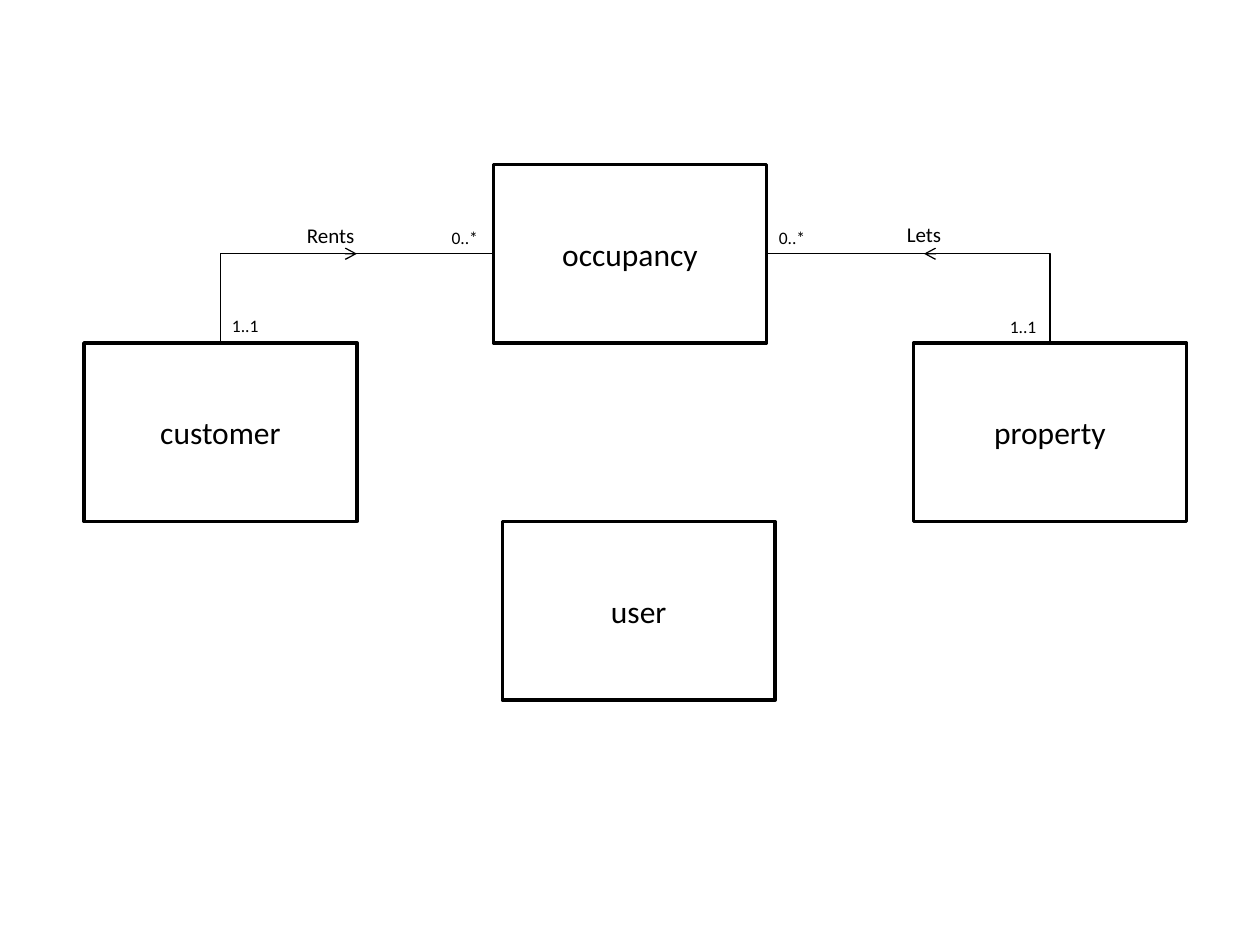
import pptx
import pptx.dml.color
import pptx.enum.shapes
import pptx.enum.text
import pptx.oxml.ns
import pptx.util
from lxml import etree

Pt = pptx.util.Pt
qn = pptx.oxml.ns.qn
CONNECTOR = pptx.enum.shapes.MSO_CONNECTOR
ALIGN = pptx.enum.text.PP_ALIGN
BLACK = pptx.dml.color.RGBColor.from_string("000000")
WHITE = pptx.dml.color.RGBColor.from_string("FFFFFF")


def add_label(text, left, top, width, height, size, align):
    """Add a one-line text box."""
    box = slide.shapes.add_textbox(Pt(left), Pt(top), Pt(width), Pt(height))
    box.text_frame.word_wrap = True
    box.text_frame.auto_size = pptx.enum.text.MSO_AUTO_SIZE.SHAPE_TO_FIT_TEXT
    paragraph = box.text_frame.paragraphs[0]
    paragraph.alignment = align
    run = paragraph.add_run()
    run.text = text
    run.font.name = "Calibri"
    run.font.size = Pt(size)
    run.font.color.rgb = BLACK


def add_line(kind, begin_x, begin_y, end_x, end_y):
    """Add a thin black connector without a shadow."""
    line = slide.shapes.add_connector(kind, Pt(begin_x), Pt(begin_y), Pt(end_x), Pt(end_y))
    line.line.color.rgb = BLACK
    line.line.width = Pt(0.75)
    etree.SubElement(line._element.spPr, qn("a:effectLst"))
    return line


presentation = pptx.Presentation()
presentation.slide_width = Pt(720)
presentation.slide_height = Pt(540)
slide = presentation.slides.add_slide(presentation.slide_layouts[6])

# Entities: a box with its name centred in it
box_width, box_height = 156, 102
name_width, name_height = 144, 29
entities = {
    "customer": (48, 196),
    "occupancy": (282, 94),
    "user": (287, 298),
    "property": (522, 196),
}
boxes = {}
for name, (left, top) in entities.items():
    box = slide.shapes.add_shape(
        pptx.enum.shapes.MSO_SHAPE.RECTANGLE, Pt(left), Pt(top), Pt(box_width), Pt(box_height))
    box.shadow.inherit = False
    box.fill.solid()
    box.fill.fore_color.rgb = WHITE
    box.line.color.rgb = BLACK
    box.line.width = Pt(2)
    boxes[name] = box
for name, (left, top) in entities.items():
    add_label(name, left + (box_width - name_width) / 2, top + (box_height - name_height) / 2,
              name_width, name_height, 18, ALIGN.CENTER)

# Relations: from the top of an entity up, then sideways to occupancy
occupancy_left, occupancy_top = entities["occupancy"]
relation_y = occupancy_top + box_height / 2
relations = [
    ("customer", occupancy_left, 1, {"rot": "5400000", "flipH": "1", "flipV": "1"}),
    ("property", occupancy_left + box_width, 3, {"rot": "16200000", "flipV": "1"}),
]
for name, end_x, end_site, turn in relations:
    left, top = entities[name]
    begin_x = left + box_width / 2
    rise, run_length = top - relation_y, abs(end_x - begin_x)
    relation = add_line(CONNECTOR.ELBOW, begin_x, top, end_x, relation_y)
    relation.begin_connect(boxes[name], 0)
    relation.end_connect(boxes["occupancy"], end_site)
    # A single-bend connector is stored turned by a quarter about its centre
    properties = relation._element.spPr
    properties.find(qn("a:prstGeom")).set("prst", "bentConnector2")
    transform = properties.find(qn("a:xfrm"))
    for flip in ("flipH", "flipV"):
        transform.attrib.pop(flip, None)
    for key, value in turn.items():
        transform.set(key, value)
    relation.left = Pt((begin_x + end_x - rise) / 2)
    relation.top = Pt((top + relation_y - run_length) / 2)
    relation.width, relation.height = Pt(rise), Pt(run_length)

# Multiplicities
for text, left, top in [("0..*", 251, 126), ("0..*", 438, 126),
                        ("1..1", 125.5, 176.5), ("1..1", 570, 177)]:
    add_label(text, left, top, 36, 19.5, 10, ALIGN.LEFT)

# Relation names with arrows for the reading direction
for text, left, top, begin_x, end_x in [("Rents", 150, 123.5, 174, 204),
                                        ("Lets", 489, 123, 546, 528)]:
    add_label(text, left, top, 78, 22, 12, ALIGN.CENTER)
    arrow = add_line(CONNECTOR.STRAIGHT, begin_x, relation_y, end_x, relation_y)
    etree.SubElement(arrow.line._get_or_add_ln(), qn("a:tailEnd"), type="arrow")

presentation.save("out.pptx")
